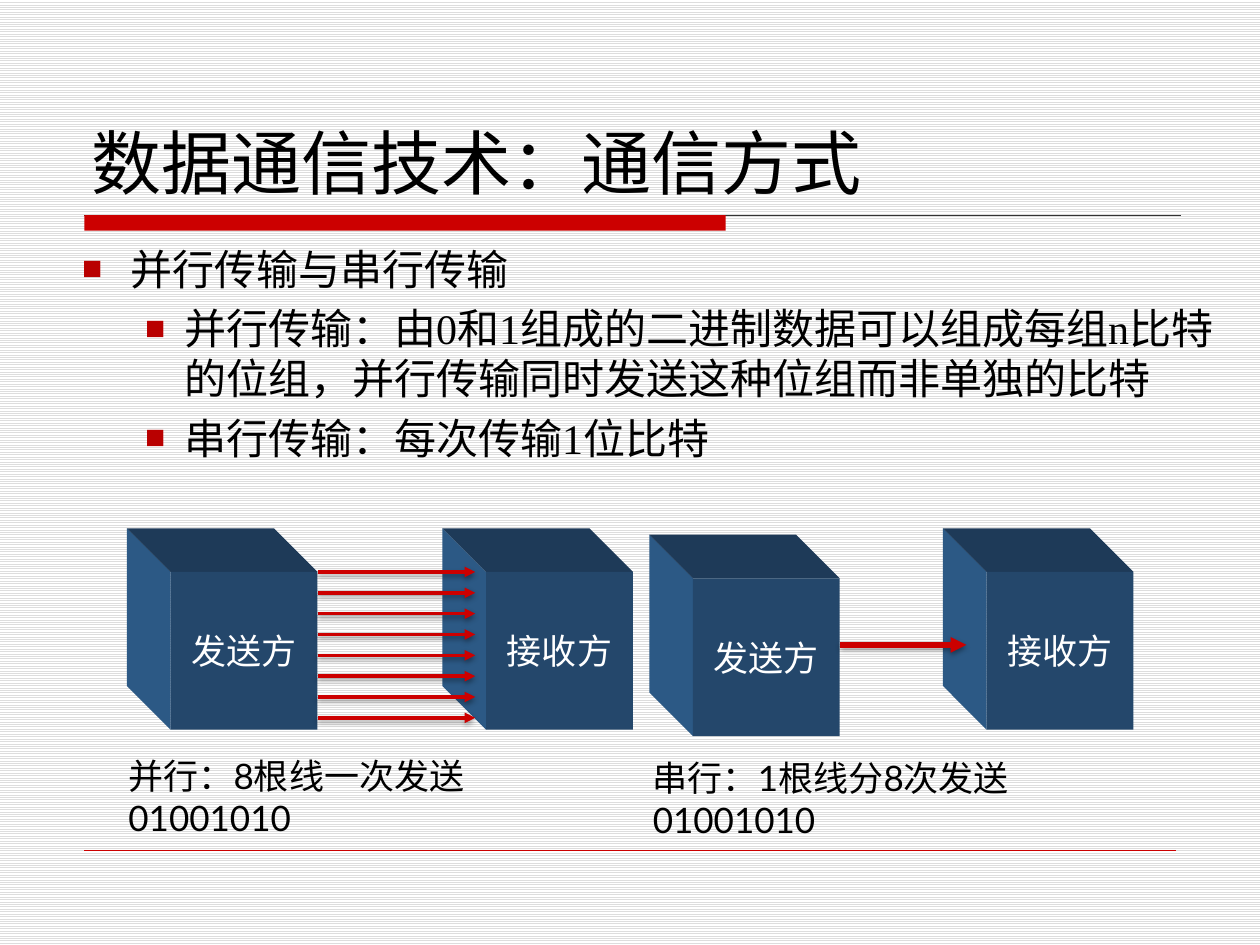
from dataclasses import dataclass

from lxml import etree
from pptx import Presentation
from pptx.dml.color import RGBColor
from pptx.enum.dml import MSO_PATTERN
from pptx.enum.shapes import MSO_CONNECTOR, MSO_SHAPE
from pptx.enum.text import MSO_ANCHOR, MSO_AUTO_SIZE, PP_ALIGN
from pptx.oxml.ns import qn
from pptx.util import Cm, Pt

STRAIGHT = MSO_CONNECTOR.STRAIGHT
RECTANGLE = MSO_SHAPE.RECTANGLE
LIGHT_HORIZONTAL = MSO_PATTERN.LIGHT_HORIZONTAL
TOP, MIDDLE, BOTTOM = MSO_ANCHOR.TOP, MSO_ANCHOR.MIDDLE, MSO_ANCHOR.BOTTOM
LEFT, CENTER = PP_ALIGN.LEFT, PP_ALIGN.CENTER
NO_AUTOFIT = MSO_AUTO_SIZE.NONE


@dataclass(frozen=True)
class Theme:
    text: str = "000000"
    on_dark: str = "FFFFFF"
    paper: str = "FFFFFF"
    stripe: str = "DDDDDD"
    accent: str = "CC0000"
    bullet: str = "B90000"
    rule: str = "333333"
    front: str = "24476B"
    side: str = "2C5985"
    top: str = "1E3A58"
    title_size: int = 40
    body_size: int = 24
    label_size: int = 20
    cjk_font: str = "Noto Sans CJK SC"
    body_font: str = "Times New Roman"
    label_font: str = "Lato"


def rgb(value):
    return RGBColor.from_string(value)


def add_xml(parent, tag, **attributes):
    return etree.SubElement(parent, qn(tag), attributes)


def write(paragraph, text, *, font, size, color, east_asian, align=LEFT):
    paragraph.alignment = align
    run = paragraph.add_run()
    run.text = text
    run.font.name = font
    run.font.size = Pt(size)
    run.font.color.rgb = rgb(color)
    add_xml(run.font._element, "a:ea", typeface=east_asian)


class SlideBuilder:
    CUBE_WIDTH, CUBE_HEIGHT, CUBE_DEPTH = 2.96, 3.18, 0.88

    def __init__(self, slide, theme):
        self.slide = slide
        self.shapes = slide.shapes
        self.theme = theme

    def background(self):
        fill = self.slide.background.fill
        fill.patterned()
        fill.pattern = LIGHT_HORIZONTAL
        fill.fore_color.rgb = rgb(self.theme.stripe)
        fill.back_color.rgb = rgb(self.theme.paper)

    def place(self, shape, left, top, width, height, anchor=TOP):
        shape.left, shape.top = Cm(left), Cm(top)
        shape.width, shape.height = Cm(width), Cm(height)
        frame = shape.text_frame
        frame.word_wrap = True
        frame.auto_size = NO_AUTOFIT
        frame.vertical_anchor = anchor
        return frame

    def write_label(self, paragraph, text, color, align=LEFT):
        write(paragraph, text, font=self.theme.label_font, size=self.theme.label_size,
              color=color, east_asian=self.theme.cjk_font, align=align)

    def title(self, text, *box):
        frame = self.place(self.shapes.title, *box, anchor=BOTTOM)
        write(frame.paragraphs[0], text, font=self.theme.cjk_font,
              size=self.theme.title_size, color=self.theme.text,
              east_asian=self.theme.cjk_font)

    def bullets(self, items, *box):
        """Fill the body placeholder with (level, text) items."""
        frame = self.place(self.slide.placeholders[1], *box)
        indents = [(0.97, -0.97), (2.06, -0.79)]
        for index, (level, text) in enumerate(items):
            paragraph = frame.add_paragraph() if index else frame.paragraphs[0]
            paragraph.level = level
            paragraph.space_before = Pt(5 if index else 0)
            properties = paragraph._p.get_or_add_pPr()
            margin, indent = indents[level]
            properties.set("marL", str(Cm(margin)))
            properties.set("indent", str(Cm(indent)))
            add_xml(add_xml(properties, "a:buClr"), "a:srgbClr", val=self.theme.bullet)
            add_xml(properties, "a:buSzPct", val="80000")
            add_xml(properties, "a:buFont", typeface=self.theme.body_font)
            add_xml(properties, "a:buChar", char="■")
            write(paragraph, text, font=self.theme.body_font, size=self.theme.body_size,
                  color=self.theme.text, east_asian=self.theme.cjk_font)

    def paint(self, shape, color):
        shape.shadow.inherit = False
        shape.fill.solid()
        shape.fill.fore_color.rgb = rgb(color)
        shape.line.fill.background()

    def block(self, color, left, top, width, height):
        shape = self.shapes.add_shape(RECTANGLE, Cm(left), Cm(top), Cm(width), Cm(height))
        self.paint(shape, color)
        return shape

    def face(self, color, corners):
        start, *others = [(Cm(x), Cm(y)) for x, y in corners]
        outline = self.shapes.build_freeform(*start)
        outline.add_line_segments(others, close=True)
        self.paint(outline.convert_to_shape(), color)

    def cube(self, text, left, top):
        """Draw a labelled front face whose depth runs up and to the left."""
        width, height, depth = self.CUBE_WIDTH, self.CUBE_HEIGHT, self.CUBE_DEPTH
        right, bottom = left + width, top + height
        back = (left - depth, top - depth)
        self.face(self.theme.side, [back, (left, top), (left, bottom),
                                    (left - depth, bottom - depth)])
        self.face(self.theme.top, [back, (right - depth, top - depth),
                                   (right, top), (left, top)])
        front = self.block(self.theme.front, left, top, width, height)
        front.text_frame.word_wrap = False
        front.text_frame.vertical_anchor = MIDDLE
        self.write_label(front.text_frame.paragraphs[0], text, self.theme.on_dark, CENTER)

    def rule(self, color, weight, left, right, y):
        """Draw a horizontal line; return it with its empty effect list."""
        line = self.shapes.add_connector(STRAIGHT, Cm(left), Cm(y), Cm(right), Cm(y))
        line.line.color.rgb = rgb(color)
        line.line.width = Pt(weight)
        return line, add_xml(line._element.spPr, "a:effectLst")

    def arrow(self, weight, left, right, y):
        line, effects = self.rule(self.theme.accent, weight, left, right, y)
        add_xml(line.line._get_or_add_ln(), "a:tailEnd", type="triangle")
        shadow = add_xml(effects, "a:outerShdw", blurRad=str(Pt(3.1)), dist=str(Pt(1.6)),
                         dir="5400000", rotWithShape="0")
        add_xml(add_xml(shadow, "a:srgbClr", val="000000"), "a:alpha", val="38000")

    def caption(self, text, *box):
        textbox = self.shapes.add_textbox(0, 0, 0, 0)
        frame = self.place(textbox, *box)
        self.write_label(frame.paragraphs[0], text, self.theme.text)


def main():
    presentation = Presentation()
    presentation.slide_width, presentation.slide_height = Cm(25.4), Cm(19.05)
    theme = Theme()
    builder = SlideBuilder(
        presentation.slides.add_slide(presentation.slide_layouts[1]), theme)

    builder.background()
    builder.rule(theme.rule, 0.75, 1.7, 23.8, 4.34)
    builder.block(theme.accent, 1.7, 4.34, 12.93, 0.31)
    builder.rule(theme.accent, 0.25, 1.7, 23.7, 17.15)

    builder.title("数据通信技术：通信方式", 1.6, 0.84, 22.23, 3.38)
    builder.bullets([
        (0, "并行传输与串行传输"),
        (1, "并行传输：由0和1组成的二进制数据可以组成每组n比特的位组，"
            "并行传输同时发送这种位组而非单独的比特"),
        (1, "串行传输：每次传输1位比特"),
    ], 1.4, 4.78, 23.7, 11.63)

    cube_top = 11.53
    for party, left, top in [("发送方", 3.44, cube_top), ("接收方", 9.8, cube_top),
                             ("发送方", 13.97, 11.66), ("接收方", 19.89, cube_top)]:
        builder.cube(party, left, top)

    wire_count, wire_gap = 8, 0.42
    for wire in range(wire_count):
        builder.arrow(2, 6.41, 9.58, cube_top + wire * wire_gap)
    builder.arrow(3, 16.94, 19.48, 13)

    builder.caption("并行：8根线一次发送01001010", 2.34, 15.08, 10.31, 1.1)
    builder.caption("串行：1根线分8次发送01001010", 12.91, 15.12, 10.69, 1.1)

    presentation.save("out.pptx")


if __name__ == "__main__":
    main()
